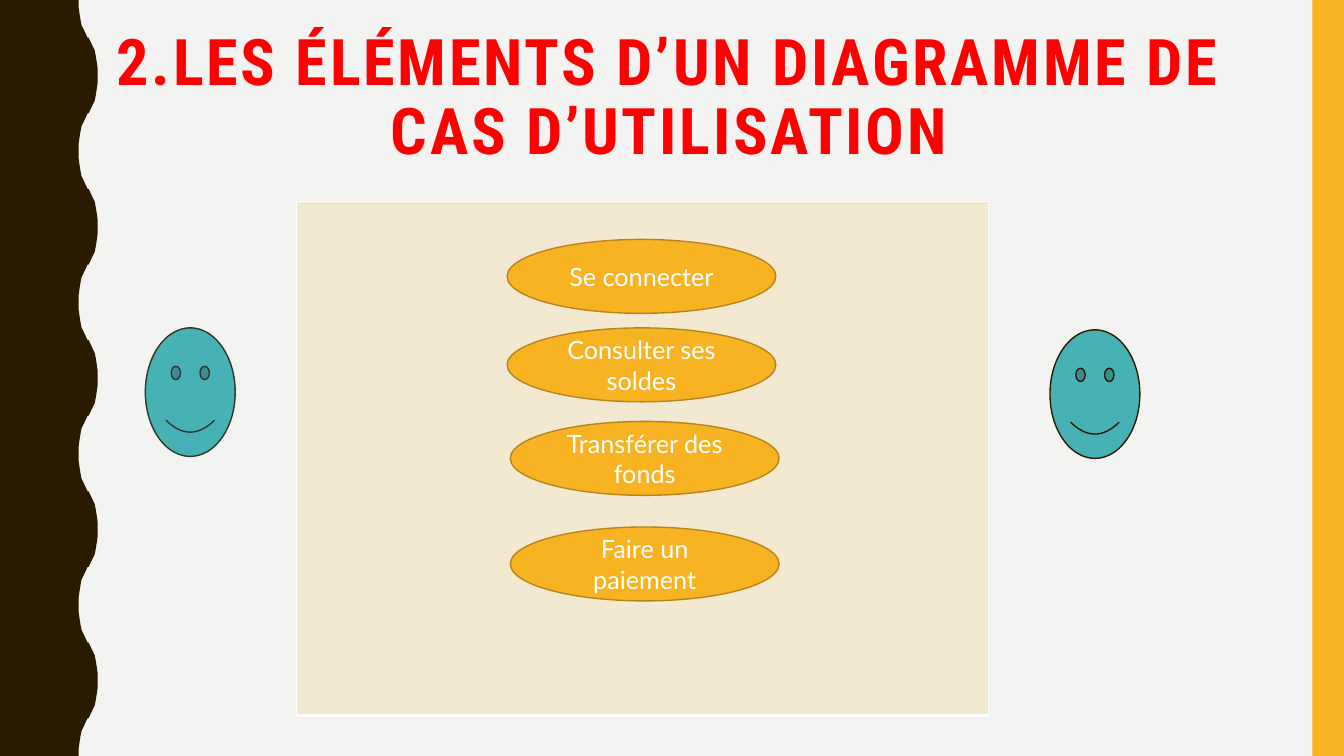
from lxml import etree
from pptx import Presentation
from pptx import util as u
from pptx.dml.color import RGBColor
from pptx.enum import shapes, text
from pptx.oxml import ns

Pt = u.Pt
WIDTH, HEIGHT = 960, 540
AMBER, BROWN, TEAL, WHITE = "F8B323", "2A1A00", "46B2B5", "FFFFFF"


def colour(hex_value):
    return RGBColor.from_string(hex_value)


def apply(target, values):
    for name, value in values.items():
        setattr(target, name, value)


def points(*lengths):
    return [Pt(length) for length in lengths]


def sub(parent, tag, **attributes):
    return etree.SubElement(parent, ns.qn(tag), attributes)


def paint(part, fill, line=None):
    part.shadow.inherit = False
    part.fill.solid()
    part.fill.fore_color.rgb = colour(fill)
    if line:
        part.line.color.rgb = colour(line)
        part.line.width = Pt(1)
    else:
        part.line.fill.background()
    return part


def preset(slide, kind, box, fill, line=None):
    return paint(slide.shapes.add_shape(kind, *points(*box)), fill, line)


def write(part, wording, font, hex_value, spacing=1.0):
    apply(part.text_frame, {"word_wrap": True, "vertical_anchor": text.MSO_ANCHOR.MIDDLE})
    paragraph = part.text_frame.paragraphs[0]
    apply(paragraph, {"alignment": text.PP_ALIGN.CENTER, "line_spacing": spacing})
    run = paragraph.add_run()
    run.text = wording
    apply(run.font, font)
    run.font.color.rgb = colour(hex_value)
    return run


def wavy_edge(slide):
    # A quarter wave, mirrored into a half wave and then a full period
    quarter = [(56.2, 0), (56.2, 5), (56.9, 10), (57.6, 14.4),
               (58.3, 18), (59.8, 21), (61.2, 24), (62.6, 27)]
    half = quarter + [(126 - x, 54 - y) for x, y in reversed(quarter)]
    period = half + [(x, 108 - y) for x, y in reversed(half)]
    wave = [(x, y + 108 * turn) for turn in range(5) for x, y in period]
    outline = slide.shapes.build_freeform(0, 0)
    outline.add_line_segments([points(x, y) for x, y in wave + [(0, HEIGHT)]])
    paint(outline.convert_to_shape(), BROWN)


def title(slide, wording):
    heading = slide.shapes.add_textbox(*points(64, 18.7, 828, 104.4))
    font = {"name": "Roboto Condensed", "size": Pt(45.9), "bold": True}
    run = write(heading, wording, font, "FF0000", 0.9)
    run.font._element.set("spc", "200")


def system_frame(slide, box):
    frame = slide.shapes.add_table(1, 1, *points(*box)).table
    apply(frame, {"first_row": False, "horz_banding": False})
    cell = frame.cell(0, 0)
    cell.fill.solid()
    cell.fill.fore_color.rgb = colour(AMBER)
    properties = cell._tc.get_or_add_tcPr()
    sub(properties.find(".//" + ns.qn("a:srgbClr")), "a:alpha", val="16000")
    # Borders come before the fill in the cell properties
    for place, (side, width) in enumerate({"L": 1, "R": 1, "T": 1, "B": 3}.items()):
        border = sub(properties, "a:ln" + side, w=str(Pt(width)))
        sub(sub(border, "a:solidFill"), "a:srgbClr", val=WHITE)
        properties.insert(place, border)


def use_case(slide, wording, left, top):
    oval = preset(slide, shapes.MSO_SHAPE.OVAL, (left, top, 192, 52.8), AMBER, "B7841A")
    write(oval, wording, {"name": "Lato", "size": Pt(18)}, WHITE)


def actor(slide, left, top, line):
    preset(slide, shapes.MSO_SHAPE.SMILEY_FACE, (left, top, 64.2, 91.8), TEAL, line)


def main():
    deck = Presentation()
    apply(deck, {"slide_width": Pt(WIDTH), "slide_height": Pt(HEIGHT)})
    slide = deck.slides.add_slide(deck.slide_layouts[6])

    # Background and side bands
    slide.background.fill.solid()
    slide.background.fill.fore_color.rgb = colour("F3F3F2")
    wavy_edge(slide)
    preset(slide, shapes.MSO_SHAPE.RECTANGLE, (937.5, 0, 22.5, HEIGHT), AMBER)

    title(slide, "2.LES ÉLÉMENTS D’UN DIAGRAMME DE CAS D’UTILISATION")

    # System boundary with its use cases
    system_frame(slide, (211.7, 144, 494.6, 367))
    for wording, left, top in (
        ("Se connecter", 362.2, 171),
        ("Consulter ses soldes", 362.2, 234.2),
        ("Transférer des fonds", 364.5, 301),
        ("Faire un paiement", 364.5, 376.4),
    ):
        use_case(slide, wording, left, top)

    # Actors on either side
    actor(slide, 103.8, 234.2, "32352C")
    actor(slide, 750, 235.6, BROWN)

    deck.save("out.pptx")


main()
